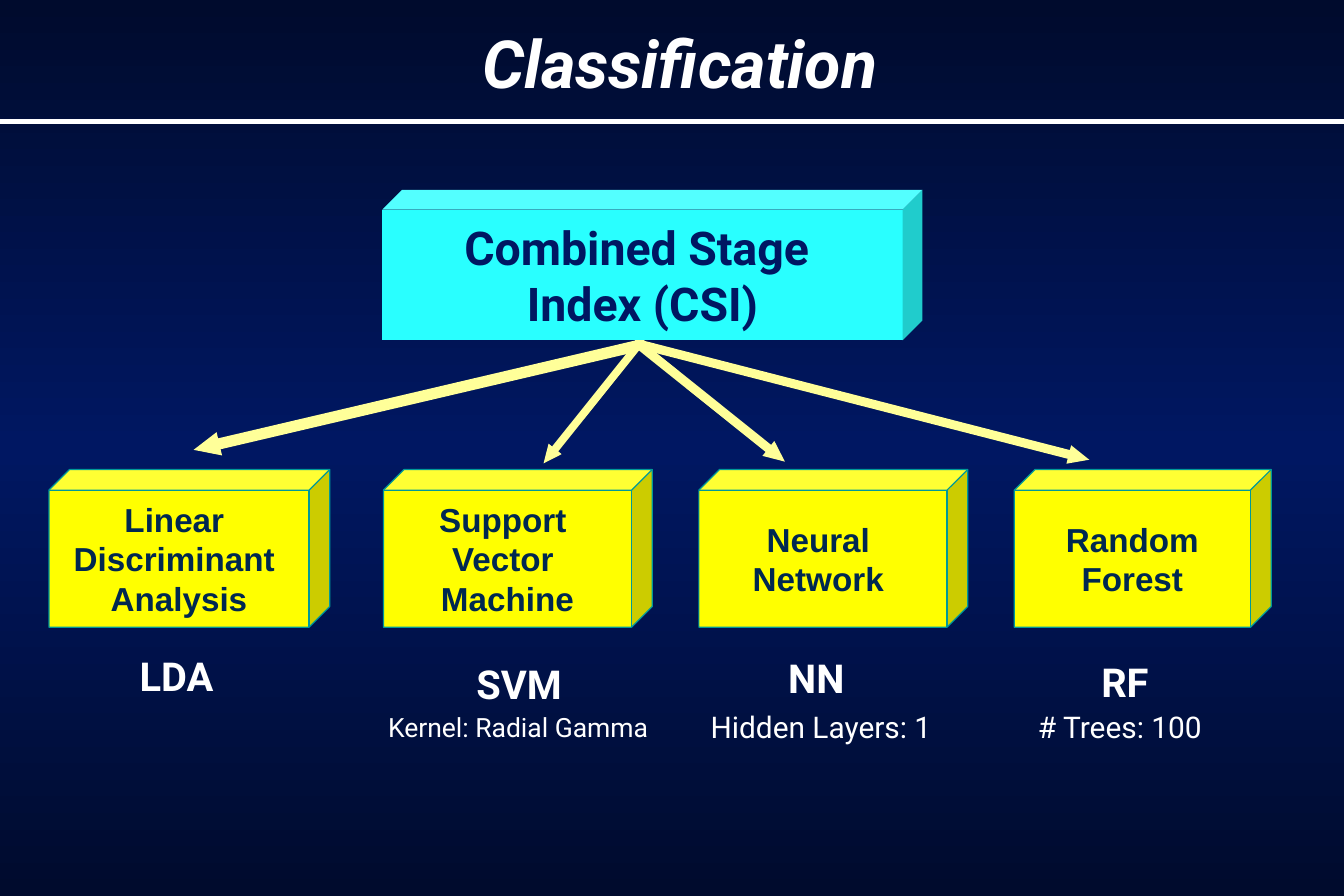
from copy import deepcopy

from pptx import Presentation
from pptx.dml.color import RGBColor
from pptx.enum import shapes, text
from pptx.oxml import ns
from pptx.util import Inches, Pt

WHITE = "FFFFFF"
NAVY = "001762"
MIDNIGHT = "000B2D"


def color(value):
    return RGBColor.from_string(value)


class SlideBuilder:
    font_name = "Roboto"
    arrow_fill = "FFFF99"
    cube_depth = 0.131
    arrow_shape = (0.469, 1.106)

    def __init__(self, presentation):
        self.slide = presentation.slides.add_slide(presentation.slide_layouts[6])

    def background(self, edge, middle):
        fill = self.slide.background.fill
        fill.gradient()
        fill.gradient_angle = 270
        first, last = fill.gradient_stops
        first.color.rgb = color(edge)
        last.color.rgb = color(middle)
        first.position, last.position = 0, 0.5
        stops = self.slide._element.find(".//" + ns.qn("a:gsLst"))
        end = deepcopy(stops[0])
        end.set("pos", "100000")
        stops.append(end)

    def rule(self, y, width):
        line = self.slide.shapes.add_connector(
            shapes.MSO_CONNECTOR.STRAIGHT, 0, Inches(y), Inches(width), Inches(y))
        line.line.color.rgb = color(WHITE)
        line.line.width = Pt(3)
        properties = line._element.spPr
        properties.append(properties.makeelement(ns.qn("a:effectLst"), {}))

    def set_text(self, frame, words, size, ink, font=None, bold=False,
                 italic=False, align=text.PP_ALIGN.LEFT):
        frame.text = words
        for paragraph in frame.paragraphs:
            paragraph.alignment = align
            paragraph.font.name = font or self.font_name
            paragraph.font.size = Pt(size)
            paragraph.font.bold = bold
            paragraph.font.italic = italic
            paragraph.font.color.rgb = color(ink)

    def label(self, words, box, size, **style):
        frame = self.slide.shapes.add_textbox(*map(Inches, box)).text_frame
        frame.word_wrap = True
        self.set_text(frame, words, size, WHITE, **style)
        return frame

    def title(self, words, box):
        frame = self.label(words, box, 40, bold=True, italic=True,
                           align=text.PP_ALIGN.CENTER)
        frame.vertical_anchor = text.MSO_ANCHOR.MIDDLE

    def solid(self, kind, box, fill, adjustments, outline=None):
        shape = self.slide.shapes.add_shape(kind, *map(Inches, box))
        shape.shadow.inherit = False
        for index, value in enumerate(adjustments):
            shape.adjustments[index] = value
        shape.fill.solid()
        shape.fill.fore_color.rgb = color(fill)
        if outline:
            shape.line.color.rgb = color(outline)
            shape.line.width = Pt(0.75)
        else:
            shape.line.fill.background()
        return shape

    def cube(self, words, box, fill, size, ink, font=None, outline=None):
        shape = self.solid(shapes.MSO_SHAPE.CUBE, box, fill,
                           [self.cube_depth], outline)
        frame = shape.text_frame
        frame.word_wrap = False
        frame.vertical_anchor = text.MSO_ANCHOR.MIDDLE
        self.set_text(frame, words, size, ink, font, bold=True,
                      align=text.PP_ALIGN.CENTER)

    def arrow(self, box, rotation):
        shape = self.solid(shapes.MSO_SHAPE.RIGHT_ARROW, box,
                           self.arrow_fill, self.arrow_shape)
        shape.rotation = rotation


def main():
    presentation = Presentation()
    presentation.slide_width = Inches(11.25)
    presentation.slide_height = Inches(7.5)
    builder = SlideBuilder(presentation)
    builder.background(MIDNIGHT, NAVY)
    builder.rule(1.02, 11.25)
    builder.title("Classification", (0.25, 0.2, 10.88, 0.64))

    classifiers = [
        ("Linear \nDiscriminant \nAnalysis", 0.41, 2.35, "LDA", 1.07, 5.41),
        ("Support \nVector \nMachine", 3.21, 2.25, "SVM", 3.89, 5.47),
        ("Neural \nNetwork ", 5.85, 2.25, "NN", 6.5, 5.42),
        ("Random\nForest", 8.49, 2.15, "RF", 9.12, 5.46),
    ]
    for name, left, width, short, short_left, short_top in classifiers:
        builder.cube(name, (left, 3.93, width, 1.32), "FFFF00", 20, "002850",
                     font="Arial", outline="009999")
        builder.label(short, (short_left, short_top, 1, 0.5), 24, bold=True)

    arrows = [
        ((1.57, 3.23, 3.81, 0.2), 166.8),
        ((5.25, 3.28, 3.93, 0.16), 14.4),
        ((4.3, 3.29, 1.33, 0.14), 128.7),
        ((5.19, 3.3, 1.55, 0.16), 38.7),
    ]
    for box, rotation in arrows:
        builder.arrow(box, rotation)

    builder.cube("Combined Stage \nIndex (CSI)", (3.2, 1.59, 4.52, 1.26),
                 "29FFFF", 28, NAVY)

    settings = [
        ("Kernel: Radial Gamma", (3.15, 5.9, 2.48, 0.37), 16),
        ("Hidden Layers: 1", (5.85, 5.88, 2.35, 0.4), 18),
        ("# Trees: 100", (8.59, 5.88, 1.97, 0.4), 18),
    ]
    for words, box, size in settings:
        builder.label(words, box, size)

    presentation.save("out.pptx")


if __name__ == "__main__":
    main()
